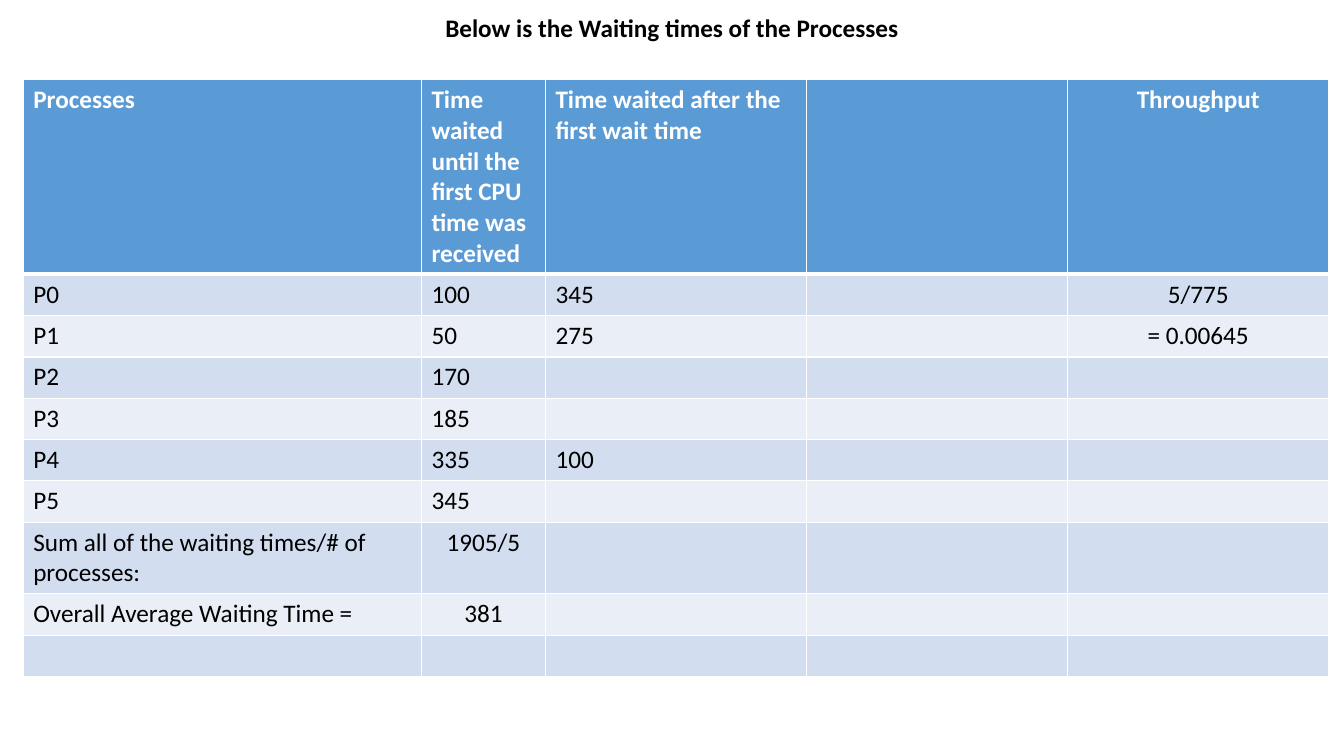
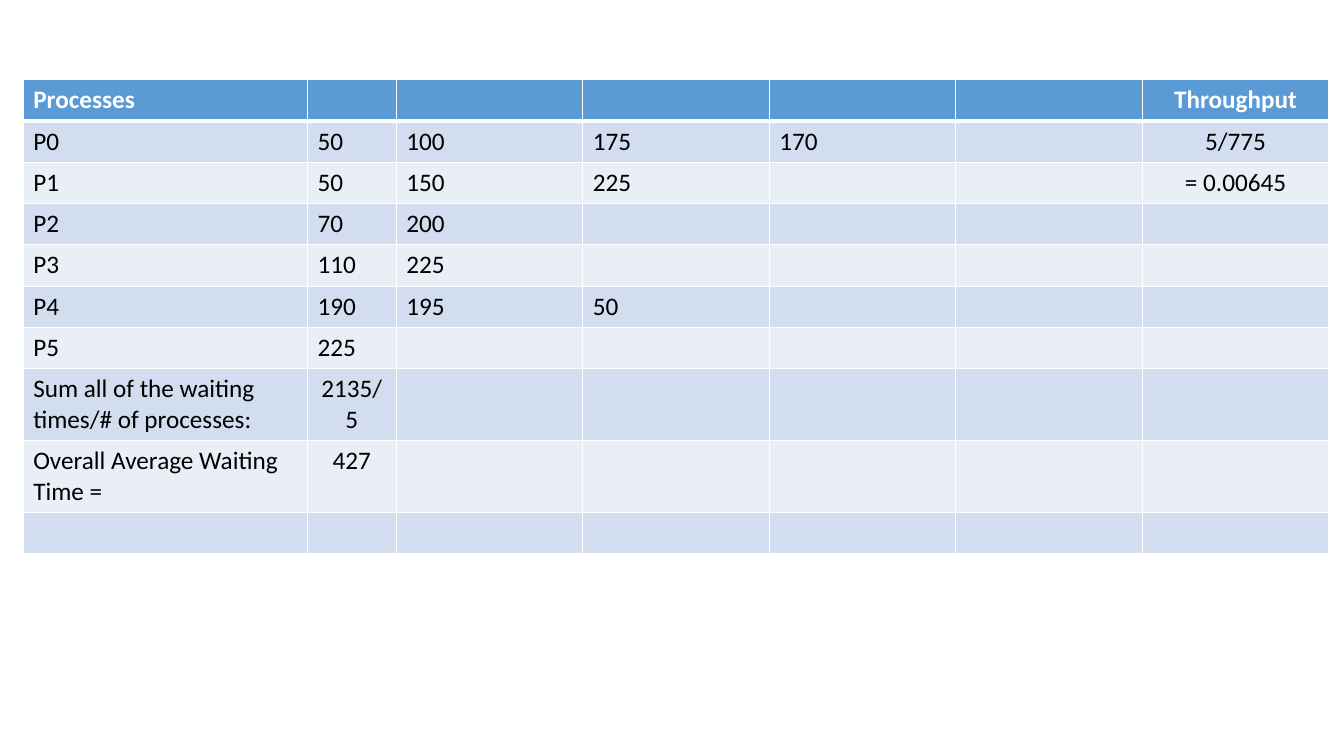
"""Build two slides of process waiting-time tables."""
from lxml import etree
from pptx import Presentation
from pptx import util as u
from pptx.dml.color import RGBColor
from pptx.enum import text
from pptx.oxml.ns import qn

COLORS = {"header": "5B9BD5", "band": "D2DEEF", "light": "EAEFF7",
          "white": "FFFFFF", "black": "000000"}
FONT = "Calibri"
ROW_HEIGHT = u.Inches(0.41)
SUM_LABEL = "Sum all of the waiting times/# of processes:"
AVERAGE_LABEL = "Overall Average Waiting Time ="


def add_text(paragraph, words, color, bold, centered):
    run = paragraph.add_run()
    run.text = words
    run.font.name = FONT
    run.font.size = u.Pt(18)
    run.font.bold = bold
    run.font.color.rgb = RGBColor.from_string(COLORS[color])
    paragraph.alignment = text.PP_ALIGN.CENTER if centered else text.PP_ALIGN.LEFT


def add_border(cell, side, points):
    line = etree.SubElement(cell._tc.get_or_add_tcPr(), qn(f"a:ln{side}"), w=str(u.Pt(points)))
    fill = etree.SubElement(line, qn("a:solidFill"))
    etree.SubElement(fill, qn("a:srgbClr"), val=COLORS["white"])


slides = [
    {
        "title": "Below is the Waiting times of the Processes",
        "widths": [3.95, 1.23] + [2.59] * 3,
        "header": ["Processes", "Time waited until the first CPU time was received",
                   "Time waited after the first wait time"],
        "waits": [["100", "345"], ["50", "275"], ["170"], ["185"], ["335", "100"], ["345"]],
        "sum": "1905/5",
        "average": "381",
    },
    {
        "title": None,
        "widths": [2.82, 0.88] + [1.85] * 5,
        "header": ["Processes"],
        "waits": [["50", "100", "175", "170"], ["50", "150", "225"], ["70", "200"],
                  ["110", "225"], ["190", "195", "50"], ["225"]],
        "sum": "2135/5",
        "average": "427",
    },
]
throughput = ["Throughput", "5/775", "= 0.00645"]

presentation = Presentation()
presentation.slide_width = u.Inches(13.33)
presentation.slide_height = u.Inches(7.5)
title_only, blank = presentation.slide_layouts[5], presentation.slide_layouts[6]

for content in slides:
    slide = presentation.slides.add_slide(title_only if content["title"] else blank)
    if content["title"]:
        title = slide.shapes.title
        title.left, title.top = u.Inches(2.22), u.Inches(0.07)
        title.width, title.height = u.Inches(8.89), u.Inches(0.4)
        title.text_frame.word_wrap = True
        title.text_frame.auto_size = text.MSO_AUTO_SIZE.NONE
        title.text_frame.vertical_anchor = text.MSO_ANCHOR.TOP
        add_text(title.text_frame.paragraphs[0], content["title"], "black", True, True)

    rows = [content["header"]]
    rows += [[f"P{number}"] + waits for number, waits in enumerate(content["waits"])]
    rows += [[SUM_LABEL, content["sum"]], [AVERAGE_LABEL, content["average"]], []]
    widths = content["widths"]
    last = len(widths) - 1
    table = slide.shapes.add_table(
        len(rows), len(widths), u.Inches(0.23), u.Inches(0.79),
        u.Inches(sum(widths)), ROW_HEIGHT * len(rows)).table
    for column, width in zip(table.columns, widths):
        column.width = u.Inches(width)

    for row_index, row in enumerate(rows):
        table.rows[row_index].height = ROW_HEIGHT
        is_header = row_index == 0
        row_fill = "header" if is_header else ("light", "band")[row_index % 2]
        values = row + [""] * (len(widths) - len(row))
        if row_index < len(throughput):
            values[last] = throughput[row_index]
        for column_index, value in enumerate(values):
            cell = table.cell(row_index, column_index)
            for side, points in (("L", 1), ("R", 1), ("T", 3 if row_index == 1 else 1),
                                 ("B", 3 if is_header else 1)):
                add_border(cell, side, points)
            cell.fill.solid()
            cell.fill.fore_color.rgb = RGBColor.from_string(COLORS[row_fill])
            if value:
                is_total = column_index == 1 and row[0] in (SUM_LABEL, AVERAGE_LABEL)
                add_text(cell.text_frame.paragraphs[0], value,
                         "white" if is_header else "black", is_header,
                         is_total or column_index == last)

presentation.save("out.pptx")
